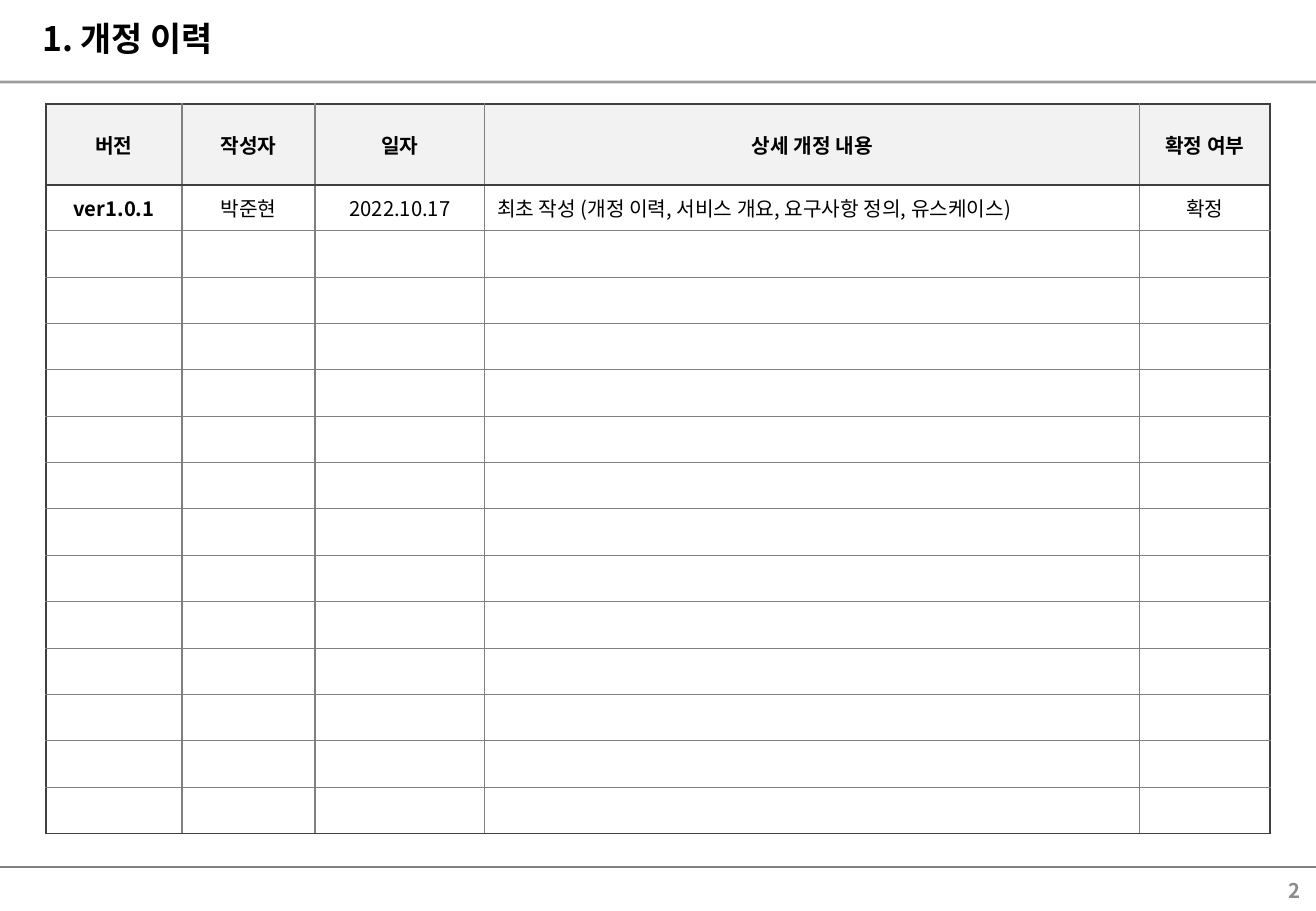
from dataclasses import dataclass

from lxml.etree import SubElement
from pptx import Presentation
from pptx.dml.color import RGBColor
from pptx.enum.shapes import MSO_CONNECTOR
from pptx.enum.text import MSO_ANCHOR, MSO_AUTO_SIZE, PP_ALIGN
from pptx.oxml import parse_xml
from pptx.oxml.ns import nsdecls, qn
from pptx.util import Emu, Pt

EMU_PER_PX = 7526


@dataclass(frozen=True)
class Theme:
    font: str = "Noto Sans CJK KR"
    ink: str = "000000"
    page_number: str = "8C8C8C"
    grid: str = "808080"
    frame: str = "404040"
    header_fill: str = "F2F2F2"
    body_fill: str = "FFFFFF"
    title_size: int = 20
    text_size: int = 12
    grid_width: float = 0.75
    frame_width: float = 1


@dataclass(frozen=True)
class Rule:
    y: int
    width: float
    opacity: int


@dataclass(frozen=True)
class Column:
    heading: str
    width: int
    entry: str
    align: PP_ALIGN = PP_ALIGN.CENTER
    bold: bool = False


THEME = Theme()
PAGE_WIDTH, PAGE_HEIGHT = 1316, 911
RULES = [Rule(82, 1.5, 76), Rule(867, 0.75, 100)]
COLUMNS = [
    Column("버전", 136, "ver1.0.1", bold=True),
    Column("작성자", 133, "박준현"),
    Column("일자", 170, "2022.10.17"),
    Column("상세 개정 내용", 655, "최초 작성 (개정 이력, 서비스 개요, 요구사항 정의, 유스케이스)", PP_ALIGN.LEFT),
    Column("확정 여부", 130, "확정"),
]
TABLE_LEFT, TABLE_TOP = 46, 104
HEADER_HEIGHT, BODY_HEIGHT, BODY_ROWS = 81, 649, 14


def px(length: int) -> Emu:
    return Emu(length * EMU_PER_PX)


def style_paragraph(para, size: int, color: str, bold: bool, align: PP_ALIGN) -> None:
    para.alignment = align
    font = para.font
    font.size = Pt(size)
    font.bold = bold
    font.color.rgb = RGBColor.from_string(color)
    font.name = THEME.font
    properties = para._p.pPr.find(qn("a:defRPr"))
    SubElement(properties, qn("a:ea"), typeface=THEME.font)


def add_rule(page, rule: Rule) -> None:
    line = page.shapes.add_connector(
        MSO_CONNECTOR.STRAIGHT, 0, px(rule.y), px(PAGE_WIDTH), px(rule.y)
    )
    line.line.width = Pt(rule.width)
    line.line.color.rgb = RGBColor.from_string(THEME.grid)
    properties = line._element.spPr
    if rule.opacity < 100:
        color = properties.find(".//" + qn("a:srgbClr"))
        SubElement(color, qn("a:alpha"), val=str(rule.opacity * 1000))
    SubElement(properties, qn("a:effectLst"))


def set_borders(cell, framed: dict[str, bool]) -> None:
    properties = cell._tc.get_or_add_tcPr()
    for position, (side, is_frame) in enumerate(framed.items()):
        color = THEME.frame if is_frame else THEME.grid
        width = Pt(THEME.frame_width if is_frame else THEME.grid_width)
        border = parse_xml(
            f'<a:ln{side} {nsdecls("a")} w="{width}"><a:solidFill>'
            f'<a:srgbClr val="{color}"/></a:solidFill></a:ln{side}>'
        )
        properties.insert(position, border)


def fill_cell(cell, text: str, bold: bool, align: PP_ALIGN, fill: str) -> None:
    cell.text = text
    cell.vertical_anchor = MSO_ANCHOR.MIDDLE
    cell.fill.solid()
    cell.fill.fore_color.rgb = RGBColor.from_string(fill)
    para = cell.text_frame.paragraphs[0]
    style_paragraph(para, THEME.text_size, THEME.ink, bold, align)
    if not text:
        SubElement(para._p, qn("a:endParaRPr"), sz=str(THEME.text_size * 100))


def add_history_table(page) -> None:
    width = sum(column.width for column in COLUMNS)
    last_row, last_column = BODY_ROWS, len(COLUMNS) - 1
    table = page.shapes.add_table(
        BODY_ROWS + 1, len(COLUMNS), px(TABLE_LEFT), px(TABLE_TOP),
        px(width), px(HEADER_HEIGHT + BODY_HEIGHT),
    ).table
    table.first_row = False
    table.horz_banding = False
    edges = [round(BODY_HEIGHT * index / BODY_ROWS) for index in range(BODY_ROWS + 1)]
    heights = [HEADER_HEIGHT] + [low - high for high, low in zip(edges, edges[1:])]
    for row, height in zip(table.rows, heights):
        row.height = px(height)
    for column_index, column in enumerate(COLUMNS):
        table.columns[column_index].width = px(column.width)
        for row_index in range(BODY_ROWS + 1):
            cell = table.cell(row_index, column_index)
            if row_index == 0:
                fill_cell(cell, column.heading, True, PP_ALIGN.CENTER, THEME.header_fill)
            else:
                text = column.entry if row_index == 1 else ""
                fill_cell(cell, text, column.bold, column.align, THEME.body_fill)
            set_borders(cell, {
                "L": column_index == 0,
                "R": column_index == last_column,
                "T": row_index in (0, 1),
                "B": row_index in (0, last_row),
            })


def add_title(page, text: str) -> None:
    title = page.shapes.title
    title.left, title.top, title.width, title.height = px(30), px(11), px(1267), px(54)
    frame = title.text_frame
    frame.text = text
    frame.auto_size = MSO_AUTO_SIZE.NONE
    frame.vertical_anchor = MSO_ANCHOR.MIDDLE
    style_paragraph(frame.paragraphs[0], THEME.title_size, THEME.ink, True, PP_ALIGN.LEFT)


def add_page_number(page, text: str) -> None:
    box = page.shapes.add_textbox(px(1016), px(871), px(296), px(38))
    frame = box.text_frame
    frame.word_wrap = True
    frame.vertical_anchor = MSO_ANCHOR.MIDDLE
    frame.text = text
    style_paragraph(frame.paragraphs[0], THEME.text_size, THEME.page_number, True, PP_ALIGN.RIGHT)


def main() -> None:
    deck = Presentation()
    deck.slide_width, deck.slide_height = px(PAGE_WIDTH), px(PAGE_HEIGHT)
    page = deck.slides.add_slide(deck.slide_layouts[5])
    for rule in RULES:
        add_rule(page, rule)
    add_history_table(page)
    add_title(page, "1. 개정 이력")
    add_page_number(page, "2")
    deck.save("out.pptx")


if __name__ == "__main__":
    main()
